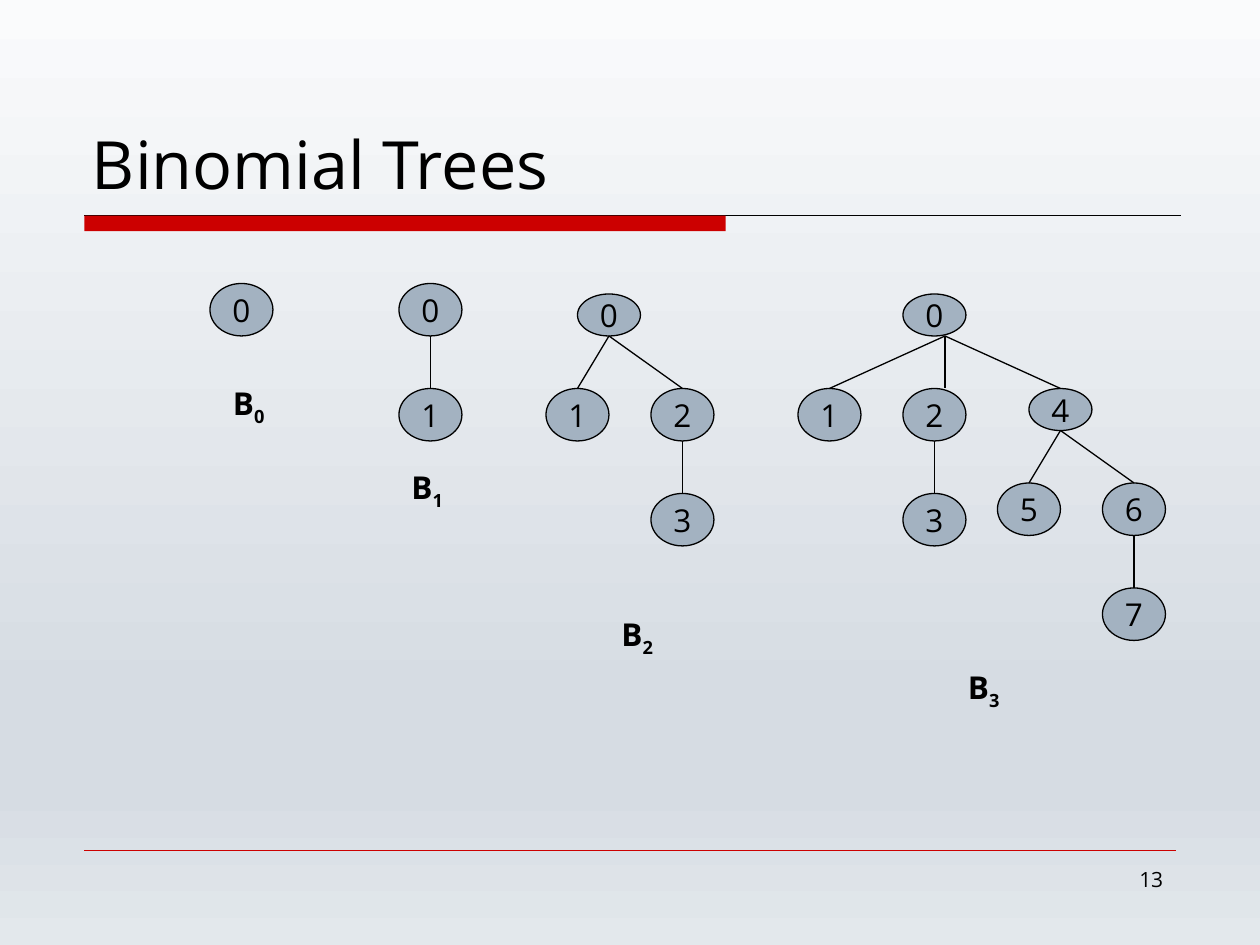
from lxml import etree
from pptx import Presentation
from pptx.dml.color import RGBColor
from pptx.enum.shapes import MSO_CONNECTOR, MSO_SHAPE
from pptx.enum.text import MSO_ANCHOR, MSO_AUTO_SIZE, PP_ALIGN
from pptx.oxml.ns import qn
from pptx.util import Cm, Pt

STRAIGHT = MSO_CONNECTOR.STRAIGHT
OVAL, RECTANGLE = MSO_SHAPE.OVAL, MSO_SHAPE.RECTANGLE
TOP, MIDDLE, BOTTOM = MSO_ANCHOR.TOP, MSO_ANCHOR.MIDDLE, MSO_ANCHOR.BOTTOM
LEFT, CENTER, RIGHT = PP_ALIGN.LEFT, PP_ALIGN.CENTER, PP_ALIGN.RIGHT
NO_AUTOFIT = MSO_AUTO_SIZE.NONE

FONT = "Open Sans"
BLACK = RGBColor(0x00, 0x00, 0x00)
RED = RGBColor(0xCC, 0x00, 0x00)
NODE_FILL = RGBColor(0xA3, 0xB2, 0xC1)
BACKGROUND_STOPS = [
    (0, RGBColor(0xFA, 0xFB, 0xFC)),
    (74, RGBColor(0xD6, 0xDC, 0xE3)),
    (83, RGBColor(0xD6, 0xDC, 0xE3)),
    (100, RGBColor(0xE3, 0xE8, 0xEC)),
]

# Trees are laid out on a grid of twelve steps to the inch.
NODE_WIDTH, NODE_HEIGHT, FLAT_HEIGHT = 6, 5, 4

# Each node: value, column, row, height, parent value.
B2_NODES = [
    (0, 3, 0, FLAT_HEIGHT, None),
    (1, 0, 9, NODE_HEIGHT, 0),
    (2, 10, 9, NODE_HEIGHT, 0),
    (3, 10, 19, NODE_HEIGHT, 2),
]
B3_NODES = [(0, 10, 0, FLAT_HEIGHT, None)] + B2_NODES[1:] + [
    (4, 22, 9, FLAT_HEIGHT, 0),
    (5, 19, 18, NODE_HEIGHT, 4),
    (6, 29, 18, NODE_HEIGHT, 4),
    (7, 29, 28, NODE_HEIGHT, 6),
]
# "shifts" moves the start and end of an edge sideways.
TREES = [
    {"box": (20, 27), "label": (1, 9), "shifts": {},
     "nodes": [(0, 0, 0, NODE_HEIGHT, None)]},
    {"box": (38, 27), "label": (0, 17), "shifts": {},
     "nodes": [(0, 0, 0, NODE_HEIGHT, None), (1, 0, 10, NODE_HEIGHT, 0)]},
    {"box": (52, 28), "label": (6, 30), "shifts": {}, "nodes": B2_NODES},
    {"box": (76, 28), "label": (15, 35), "nodes": B3_NODES,
     "shifts": {(0, 1): (1, 0), (0, 2): (1, 1), (0, 4): (1, 0)}},
]


def grid(steps):
    """Turn grid steps into a length."""
    return Cm(steps * 2.54 / 12)


def add_text(paragraph, text, **formats):
    """Append a run with the slide's font and the given font values."""
    run = paragraph.add_run()
    run.text = text
    values = {"name": FONT, "size": Pt(18), **formats}
    for name, value in values.items():
        setattr(run.font, name, value)
    run.font.color.rgb = BLACK
    return run


def format_frame(frame, alignment, **formats):
    """Set frame values and return the aligned first paragraph."""
    for name, value in formats.items():
        setattr(frame, name, value)
    frame.paragraphs[0].alignment = alignment
    return frame.paragraphs[0]


def add_line(slide, start, end, color=BLACK, width=0.75):
    """Draw a plain straight line between two points."""
    line = slide.shapes.add_connector(STRAIGHT, *start, *end)
    line.line.color.rgb = color
    line.line.width = Pt(width)
    etree.SubElement(line._element.spPr, qn("a:effectLst"))


def set_background(slide):
    """Fill the slide from top to bottom with the gradient."""
    fill = slide.background.fill
    fill.gradient()
    fill.gradient_angle = 270
    stops = slide._element.find(".//" + qn("a:gsLst"))
    for stop in list(stops):
        stops.remove(stop)
    for percent, color in BACKGROUND_STOPS:
        stop = etree.SubElement(stops, qn("a:gs"), pos=str(percent * 1000))
        etree.SubElement(stop, qn("a:srgbClr"), val=str(color))


def add_header(slide, left, top, width, height):
    """Place the title with the red bar and thin rule under it."""
    title = slide.shapes.title
    title.left, title.top, title.width, title.height = left, top, width, height
    paragraph = format_frame(title.text_frame, LEFT, word_wrap=True,
                             vertical_anchor=BOTTOM, auto_size=NO_AUTOFIT)
    add_text(paragraph, "Binomial Trees", size=Pt(38))

    rule_left, rule_top = left + Cm(0.1), top + height + Cm(0.13)
    add_line(slide, (rule_left, rule_top), (left + width, rule_top), width=0.5)
    bar = slide.shapes.add_shape(RECTANGLE, rule_left, rule_top,
                                 Cm(12.93), Cm(0.31))
    bar.shadow.inherit = False
    bar.fill.solid()
    bar.fill.fore_color.rgb = RED
    bar.line.fill.background()


def add_footer(slide, left, top, width, height):
    """Place the thin red rule and the slide number below it."""
    add_line(slide, (left, top), (left + width, top), RED, 0.25)
    number_width = Cm(5.5)
    number = slide.shapes.add_textbox(left + width - number_width,
                                      top + Cm(0.21), number_width, height)
    paragraph = format_frame(number.text_frame, RIGHT, word_wrap=True,
                             vertical_anchor=TOP)
    add_text(paragraph, "13", size=Pt(12))


def add_node(slide, value, left, top, height):
    """Draw one numbered tree node."""
    node = slide.shapes.add_shape(OVAL, grid(left), grid(top),
                                  grid(NODE_WIDTH), grid(height))
    node.shadow.inherit = False
    node.fill.solid()
    node.fill.fore_color.rgb = NODE_FILL
    node.line.color.rgb = BLACK
    node.line.width = Pt(0.75)
    paragraph = format_frame(node.text_frame, CENTER, word_wrap=False,
                             vertical_anchor=MIDDLE)
    add_text(paragraph, str(value))


def add_tree(slide, order, box, label, nodes, shifts):
    """Draw a binomial tree and its label from the box's top left corner."""
    left, top = box
    places = {}
    for value, column, row, height, parent in nodes:
        x, y = left + column, top + row
        add_node(slide, value, x, y, height)
        center = x + NODE_WIDTH / 2
        places[value] = (center, y + height)
        if parent is not None:
            parent_center, parent_bottom = places[parent]
            start_shift, end_shift = shifts.get((parent, value), (0, 0))
            add_line(slide,
                     (grid(parent_center + start_shift), grid(parent_bottom)),
                     (grid(center + end_shift), grid(y)))

    caption = slide.shapes.add_textbox(grid(left + label[0]), grid(top + label[1]),
                                       grid(7), Cm(1.02))
    paragraph = format_frame(caption.text_frame, LEFT, word_wrap=True)
    add_text(paragraph, "B", bold=True)
    subscript = add_text(paragraph, str(order), bold=True)
    subscript.font._element.set("baseline", "-25000")


def main():
    """Build and save the presentation."""
    presentation = Presentation()
    presentation.slide_width, presentation.slide_height = Cm(25.4), Cm(19.05)
    slide = presentation.slides.add_slide(presentation.slide_layouts[5])
    set_background(slide)
    add_header(slide, Cm(1.6), Cm(0.84), Cm(22.2), Cm(3.38))
    for order, tree in enumerate(TREES):
        add_tree(slide, order, **tree)
    add_footer(slide, Cm(1.7), Cm(17.14), Cm(22), Cm(1.32))
    presentation.save("out.pptx")


main()
